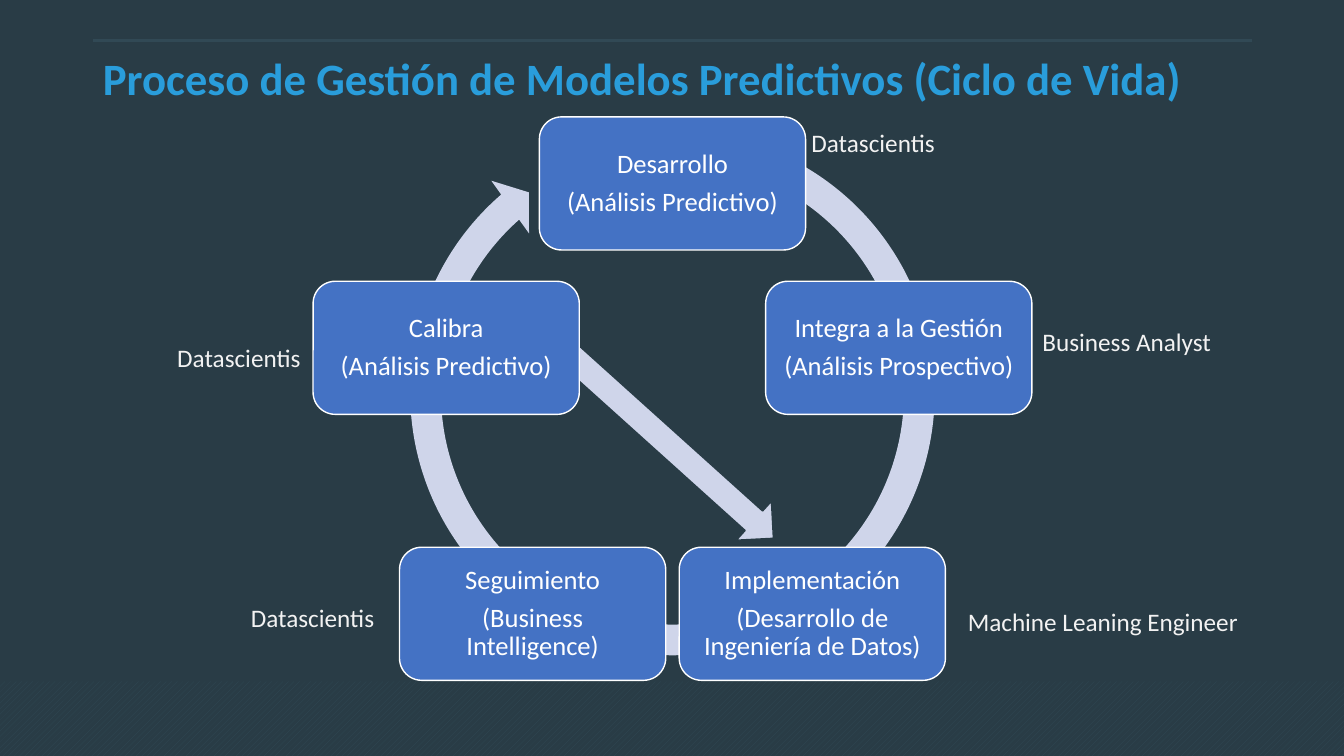
import math
from pptx import Presentation, util as u
from pptx.dml.color import RGBColor
from pptx.enum import dml, shapes, text
from pptx.oxml.ns import qn
from lxml import etree

COLORS = {"bg": "293C46", "band": "314955", "title": "299DDB", "box": "4472C4",
          "arrow": "CFD5EA", "white": "FFFFFF", "role": "F2F2F2"}


def rgb(name):
    return RGBColor.from_string(COLORS[name])


def write(tf, lines, size=18, color="role", bold=False, align=text.PP_ALIGN.LEFT,
          spacing=1.0, after=0, anchor=text.MSO_ANCHOR.TOP, wrap=True):
    tf.word_wrap, tf.vertical_anchor = wrap, anchor
    for i, line in enumerate(lines):
        p = tf.paragraphs[0] if i == 0 else tf.add_paragraph()
        p.alignment, p.line_spacing, p.space_after = align, spacing, u.Pt(after)
        r = p.add_run()
        r.text = line
        r.font.name, r.font.size, r.font.bold = "Calibri", u.Pt(size), bold
        r.font.color.rgb = rgb(color)


prs = Presentation()
prs.slide_width, prs.slide_height = u.Inches(13.33), u.Inches(7.5)
s = prs.slides.add_slide(prs.slide_layouts[5])
s.background.fill.solid()
s.background.fill.fore_color.rgb = rgb("bg")

# Hatched band at the bottom
band = s.shapes.add_shape(shapes.MSO_SHAPE.RECTANGLE, 0, u.Inches(6.76),
                          prs.slide_width, u.Inches(0.74))
band.shadow.inherit = False
band.fill.patterned()
band.fill.pattern = dml.MSO_PATTERN.WIDE_UPWARD_DIAGONAL
band.fill.fore_color.rgb, band.fill.back_color.rgb = rgb("band"), rgb("bg")
band.line.fill.background()

# Rule and title
rule = s.shapes.add_connector(shapes.MSO_CONNECTOR.STRAIGHT, u.Inches(0.92), u.Inches(0.4),
                              u.Inches(12.42), u.Inches(0.4))
rule.line.color.rgb, rule.line.width = rgb("band"), u.Pt(2.25)
etree.SubElement(rule._element.spPr, qn("a:effectLst"))

title = s.shapes.title
title.left, title.top = u.Inches(0.92), u.Inches(0.4)
title.width, title.height = u.Inches(11.5), u.Inches(0.81)
title.text_frame.auto_size = text.MSO_AUTO_SIZE.NONE
write(title.text_frame, ["Proceso de Gestión de Modelos Predictivos (Ciclo de Vida)"],
      size=32, color="title", bold=True, spacing=0.9, anchor=text.MSO_ANCHOR.MIDDLE)

# Shortcut arrow from Calibra to Implementación, then the cycle arrow
shortcut = s.shapes.add_shape(shapes.MSO_SHAPE.DOWN_ARROW, u.Inches(6.4), u.Inches(3.07),
                              u.Inches(0.52), u.Inches(2.72))
shortcut.rotation = 312
shortcut.line.color.rgb, shortcut.line.width = rgb("bg"), u.Pt(1)

cycle = s.shapes.add_shape(shapes.MSO_SHAPE.CIRCULAR_ARROW, u.Inches(3.9), u.Inches(1.13),
                           u.Inches(5.54), u.Inches(5.54))
for i, value in enumerate([0.055, 3.307, 137.34, 174.115, 0.058]):
    cycle.adjustments[i] = value
cycle.line.fill.background()

for sp in (shortcut, cycle):
    sp.shadow.inherit = False
    sp.fill.solid()
    sp.fill.fore_color.rgb = rgb("arrow")

# Stages, clockwise from the top of a regular pentagon
STAGES = [("Desarrollo", "(Análisis Predictivo)"),
          ("Integra a la Gestión", "(Análisis Prospectivo)"),
          ("Implementación", "(Desarrollo de Ingeniería de Datos)"),
          ("Seguimiento", "(Business Intelligence)"),
          ("Calibra", "(Análisis Predictivo)")]
CX, CY, RADIUS, BOX_W, BOX_H = 6.67, 4.18, 2.36, 2.64, 1.32
for i, lines in enumerate(STAGES):
    angle = 2 * math.pi * i / len(STAGES)
    x = CX + RADIUS * math.sin(angle) - BOX_W / 2
    y = CY - RADIUS * math.cos(angle) - BOX_H / 2
    sp = s.shapes.add_shape(shapes.MSO_SHAPE.ROUNDED_RECTANGLE, u.Inches(x), u.Inches(y),
                            u.Inches(BOX_W), u.Inches(BOX_H))
    sp.shadow.inherit = False
    sp.fill.solid()
    sp.fill.fore_color.rgb = rgb("box")
    sp.line.color.rgb, sp.line.width = rgb("white"), u.Pt(1)
    tf = sp.text_frame
    tf.margin_left = tf.margin_right = tf.margin_top = tf.margin_bottom = u.Inches(0.08)
    write(tf, lines, size=19, color="white", align=text.PP_ALIGN.CENTER,
          spacing=0.9, after=6.65, anchor=text.MSO_ANCHOR.MIDDLE)

# Role beside each stage
ROLES = [("Datascientis", 7.95, 1.21, 1.44),
         ("Business Analyst", 10.24, 3.19, 1.89),
         ("Machine Leaning Engineer", 9.5, 5.97, 2.92),
         ("Datascientis", 2.39, 5.93, 1.44),
         ("Datascientis", 1.66, 3.35, 1.44)]
for role, x, y, w in ROLES:
    tb = s.shapes.add_textbox(u.Inches(x), u.Inches(y), u.Inches(w), u.Inches(0.4))
    tb.text_frame.auto_size = text.MSO_AUTO_SIZE.SHAPE_TO_FIT_TEXT
    write(tb.text_frame, [role], wrap=False)

prs.save("out.pptx")
